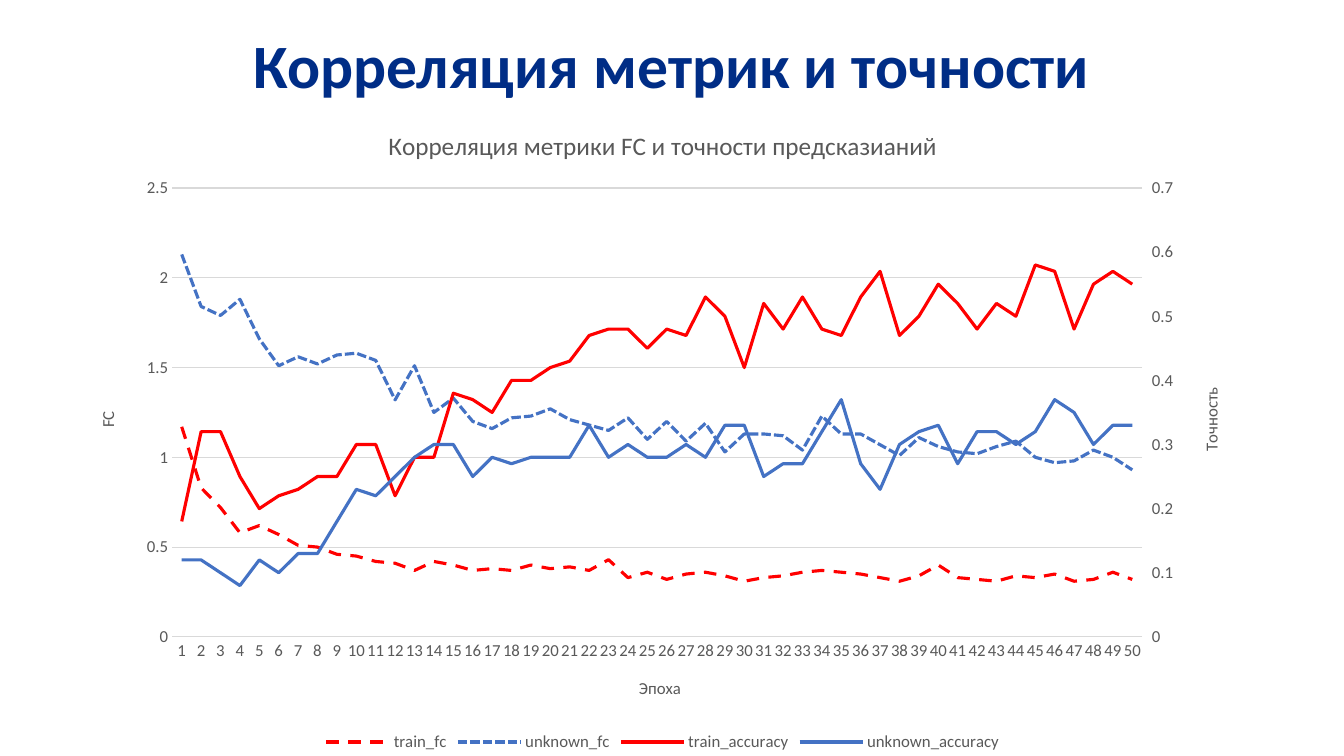
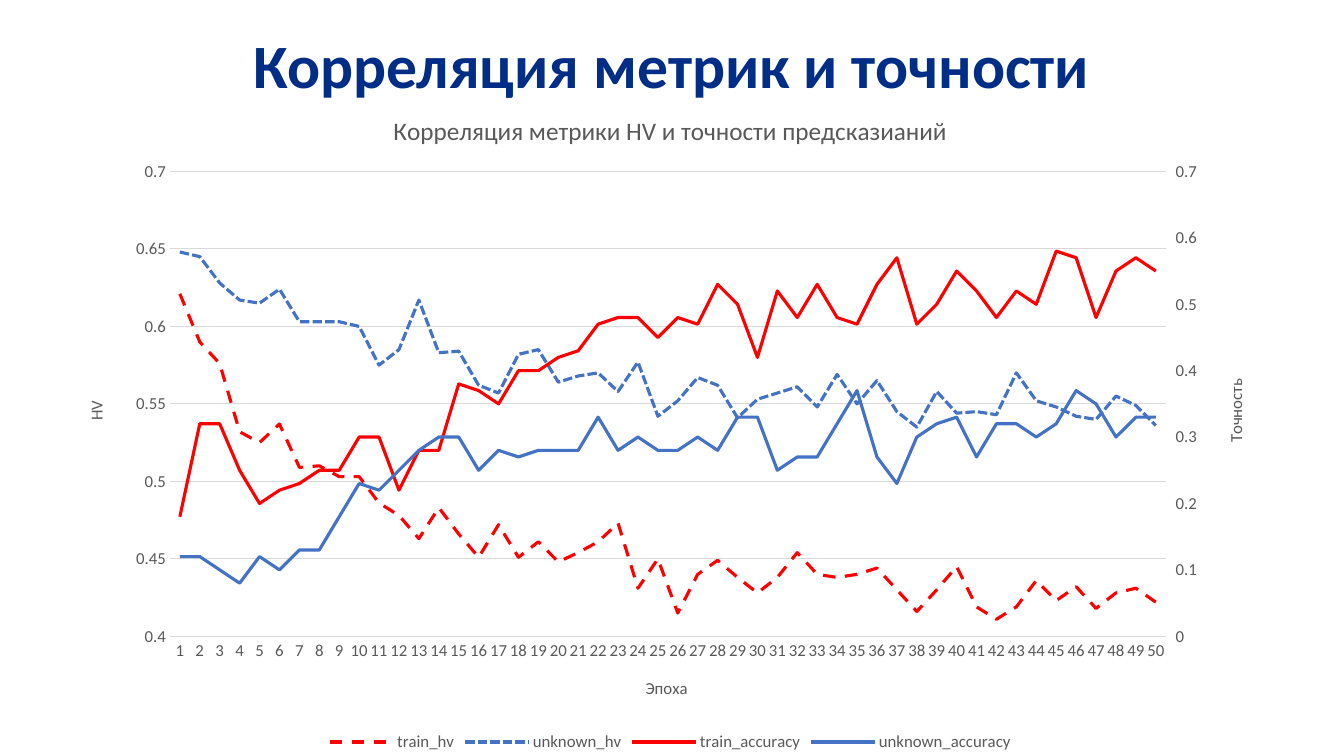
from copy import deepcopy
from lxml.etree import SubElement
from pptx import Presentation
from pptx.chart.axis import CategoryAxis, ValueAxis
from pptx.chart.data import CategoryChartData
from pptx.dml.color import RGBColor
from pptx.enum.chart import XL_CHART_TYPE, XL_LEGEND_POSITION, XL_TICK_MARK
from pptx.enum.dml import MSO_LINE
from pptx.enum.text import MSO_ANCHOR, PP_ALIGN
from pptx.oxml.ns import qn
from pptx.util import Pt

FONT = "Calibri"
NAVY, GRAY, GRID, RED, BLUE = "002D86", "595959", "D9D9D9", "FF0000", "4472C4"
TITLE = "Корреляция метрик и точности"
STYLES = [(RED, MSO_LINE.DASH), (BLUE, MSO_LINE.SQUARE_DOT), (RED, None), (BLUE, None)]
EPOCHS = [str(n) for n in range(1, 51)]
ACCURACY = {
    "train_accuracy": [
        0.18, 0.32, 0.32, 0.25, 0.2, 0.22, 0.23, 0.25, 0.25, 0.3,
        0.3, 0.22, 0.28, 0.28, 0.38, 0.37, 0.35, 0.4, 0.4, 0.42,
        0.43, 0.47, 0.48, 0.48, 0.45, 0.48, 0.47, 0.53, 0.5, 0.42,
        0.52, 0.48, 0.53, 0.48, 0.47, 0.53, 0.57, 0.47, 0.5, 0.55,
        0.52, 0.48, 0.52, 0.5, 0.58, 0.57, 0.48, 0.55, 0.57, 0.55],
    "unknown_accuracy": [
        0.12, 0.12, 0.1, 0.08, 0.12, 0.1, 0.13, 0.13, 0.18, 0.23,
        0.22, 0.25, 0.28, 0.3, 0.3, 0.25, 0.28, 0.27, 0.28, 0.28,
        0.28, 0.33, 0.28, 0.3, 0.28, 0.28, 0.3, 0.28, 0.33, 0.33,
        0.25, 0.27, 0.27, 0.32, 0.37, 0.27, 0.23, 0.3, 0.32, 0.33,
        0.27, 0.32, 0.32, 0.3, 0.32, 0.37, 0.35, 0.3, 0.33, 0.33],
}
FC = {
    "train_fc": [
        1.17, 0.83, 0.72, 0.58, 0.62, 0.57, 0.51, 0.5, 0.46, 0.45,
        0.42, 0.41, 0.37, 0.42, 0.4, 0.37, 0.38, 0.37, 0.4, 0.38,
        0.39, 0.37, 0.43, 0.33, 0.36, 0.32, 0.35, 0.36, 0.34, 0.31,
        0.33, 0.34, 0.36, 0.37, 0.36, 0.35, 0.33, 0.31, 0.34, 0.4,
        0.33, 0.32, 0.31, 0.34, 0.33, 0.35, 0.31, 0.32, 0.36, 0.32],
    "unknown_fc": [
        2.13, 1.84, 1.79, 1.88, 1.66, 1.51, 1.56, 1.52, 1.57, 1.58,
        1.54, 1.32, 1.51, 1.25, 1.33, 1.2, 1.16, 1.22, 1.23, 1.27,
        1.21, 1.18, 1.15, 1.22, 1.1, 1.2, 1.09, 1.19, 1.03, 1.13,
        1.13, 1.12, 1.04, 1.23, 1.13, 1.13, 1.07, 1.01, 1.11, 1.06,
        1.03, 1.02, 1.06, 1.09, 1, 0.97, 0.98, 1.04, 1, 0.93],
}
HV = {
    "train_hv": [
        0.621, 0.59, 0.576, 0.532, 0.525, 0.537, 0.509, 0.51, 0.503, 0.503,
        0.486, 0.478, 0.463, 0.483, 0.466, 0.451, 0.472, 0.451, 0.461, 0.448,
        0.454, 0.461, 0.473, 0.431, 0.45, 0.415, 0.44, 0.449, 0.438, 0.428,
        0.438, 0.454, 0.44, 0.438, 0.44, 0.444, 0.43, 0.416, 0.43, 0.445,
        0.419, 0.411, 0.419, 0.436, 0.423, 0.432, 0.418, 0.428, 0.431, 0.422],
    "unknown_hv": [
        0.648, 0.645, 0.628, 0.617, 0.615, 0.624, 0.603, 0.603, 0.603, 0.6,
        0.575, 0.585, 0.617, 0.583, 0.584, 0.562, 0.557, 0.582, 0.585, 0.564,
        0.568, 0.57, 0.558, 0.577, 0.542, 0.552, 0.567, 0.562, 0.541, 0.553,
        0.557, 0.561, 0.548, 0.569, 0.55, 0.565, 0.545, 0.535, 0.558, 0.544,
        0.545, 0.543, 0.57, 0.552, 0.548, 0.542, 0.54, 0.555, 0.549, 0.536],
}
SLIDES = [
    dict(metric="FC", values=FC, scale=(0, 2.5, 0.5),
         box=(53.3, 75.6, 840.2, 464.4), plot=(122.9, 134.3, 692.9, 320.7)),
    dict(metric="HV", values=HV, scale=(0.4, 0.7, 0.05),
         box=(46.1, 64.1, 865.4, 475.9), plot=(121.4, 122.5, 711.4, 332.1)),
]


def color(value):
    return RGBColor.from_string(value)


def set_font(font, size=12, fill=GRAY, bold=False):
    font.name, font.size, font.bold = FONT, Pt(size), bold
    font.color.rgb = color(fill)


def write(tf, text, align=PP_ALIGN.CENTER, spacing=None, **fmt):
    p = tf.paragraphs[0]
    p.alignment = align
    if spacing:
        p.line_spacing = spacing
    r = p.add_run()
    r.text = text
    set_font(r.font, **fmt)


def set_line(line, fill, width=0.75, dash=None):
    line.color.rgb = color(fill)
    line.width = Pt(width)
    if dash:
        line.dash_style = dash


def set_scale(axis, low, high, step):
    axis.minimum_scale, axis.maximum_scale, axis.major_unit = low, high, step


def title_axis(axis, text, turned=True):
    write(axis.axis_title.text_frame, text)
    if turned:
        body = axis.axis_title.element.find(".//" + qn("a:bodyPr"))
        body.set("rot", "-5400000")
        body.set("vert", "horz")


def place_plot(area, box, plot):
    old = area.find(qn("c:layout"))
    if old is not None:
        area.remove(old)
    layout = SubElement(area, qn("c:layout"))
    area.insert(0, layout)
    manual = SubElement(layout, qn("c:manualLayout"))
    x, y, w, h = box
    left, top, width, height = plot
    for tag, val in [("layoutTarget", "inner"), ("xMode", "edge"), ("yMode", "edge"),
                     ("x", (left - x) / w), ("y", (top - y) / h),
                     ("w", width / w), ("h", height / h)]:
        SubElement(manual, qn("c:" + tag)).set("val", str(val))


def add_right_axis(area, first):
    lines, cat, val = (area.find(qn("c:" + tag)) for tag in ("lineChart", "catAx", "valAx"))
    lines2, cat2, val2 = (deepcopy(el) for el in (lines, cat, val))
    for el in lines.findall(qn("c:ser"))[first:]:
        lines.remove(el)
    for el in lines2.findall(qn("c:ser"))[:first]:
        lines2.remove(el)
    for el, val_id in zip(lines2.findall(qn("c:axId")), ("201", "202")):
        el.set("val", val_id)
    for el, own, other in [(cat2, "201", "202"), (val2, "202", "201")]:
        el.find(qn("c:axId")).set("val", own)
        el.find(qn("c:crossAx")).set("val", other)
    val2.find(qn("c:axPos")).set("val", "r")
    val2.find(qn("c:crosses")).set("val", "max")
    lines.addnext(lines2)
    val.addnext(val2)
    val2.addnext(cat2)
    CategoryAxis(cat2).visible = False
    return ValueAxis(val2)


def add_metric_chart(s, metric, values, scale, box, plot):
    data = CategoryChartData()
    data.categories = EPOCHS
    for name, vals in {**values, **ACCURACY}.items():
        data.add_series(name, vals)
    chart = s.shapes.add_chart(XL_CHART_TYPE.LINE, *map(Pt, box), data).chart
    set_font(chart.font)
    write(chart.chart_title.text_frame,
          f"Корреляция метрики {metric} и точности предсказианий", size=18)
    chart.has_legend = True
    chart.legend.position = XL_LEGEND_POSITION.BOTTOM
    chart.legend.include_in_layout = False
    set_font(chart.legend.font)
    chart.plots[0].vary_by_categories = False
    for series, (fill, dash) in zip(chart.plots[0].series, STYLES):
        series.smooth = False
        set_line(series.format.line, fill, 2.25, dash)

    cat, left = chart.category_axis, chart.value_axis
    for axis in (cat, left):
        axis.major_tick_mark = axis.minor_tick_mark = XL_TICK_MARK.NONE
        set_font(axis.tick_labels.font)
    set_line(cat.format.line, GRID)
    left.format.line.fill.background()

    area = chart.element.find(".//" + qn("c:plotArea"))
    right = add_right_axis(area, len(values))
    right.has_major_gridlines = False
    right.major_tick_mark = XL_TICK_MARK.OUTSIDE
    set_scale(right, 0, 0.7, 0.1)
    set_scale(left, *scale)
    left.has_major_gridlines = True
    set_line(left.major_gridlines.format.line, GRID)
    title_axis(cat, "Эпоха", turned=False)
    title_axis(left, metric)
    title_axis(right, "Точность")
    place_plot(area, box, plot)


def add_title(s):
    tf = s.shapes.add_textbox(Pt(66.2), Pt(-3.6), Pt(828), Pt(104.4)).text_frame
    tf.word_wrap = True
    tf.vertical_anchor = MSO_ANCHOR.MIDDLE
    write(tf, TITLE, spacing=0.9, size=44, fill=NAVY, bold=True)


def main():
    prs = Presentation()
    prs.slide_width, prs.slide_height = Pt(960), Pt(540)
    for content in SLIDES:
        s = prs.slides.add_slide(prs.slide_layouts[6])
        add_title(s)
        add_metric_chart(s, **content)
    prs.save("out.pptx")


if __name__ == "__main__":
    main()
